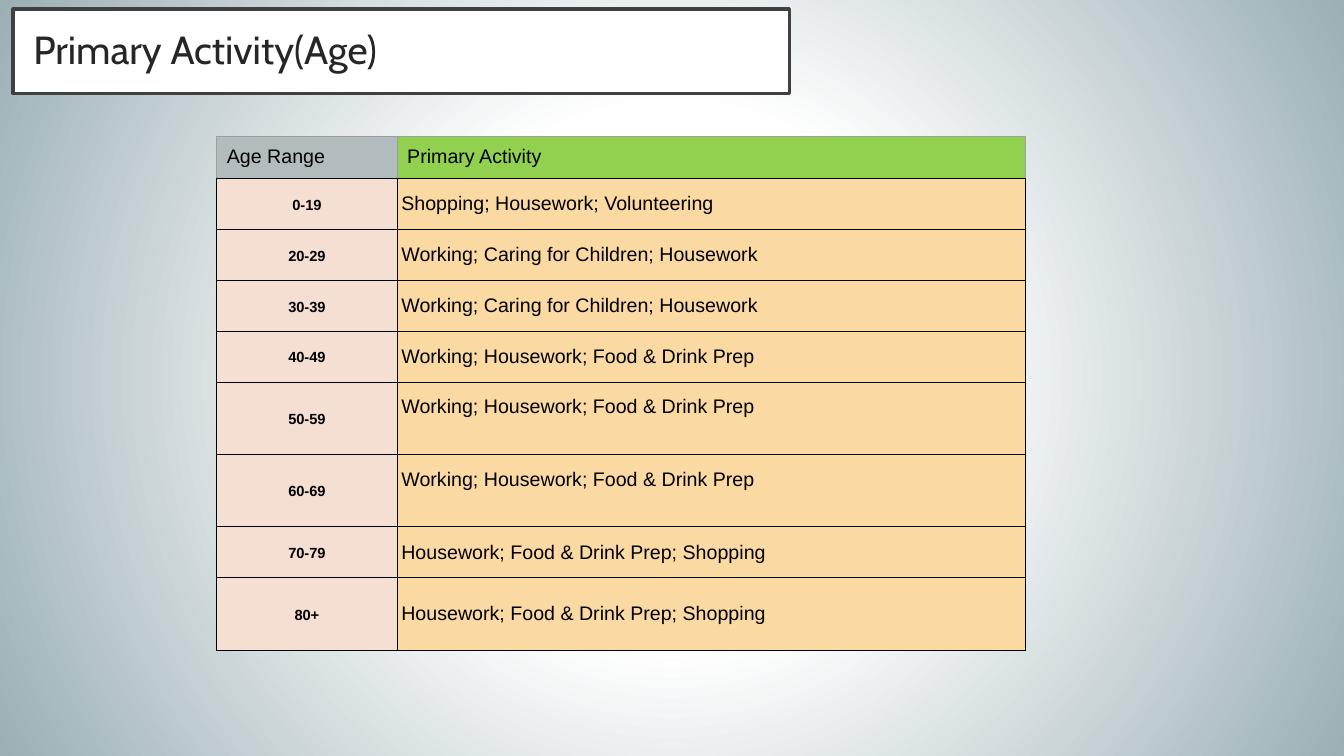
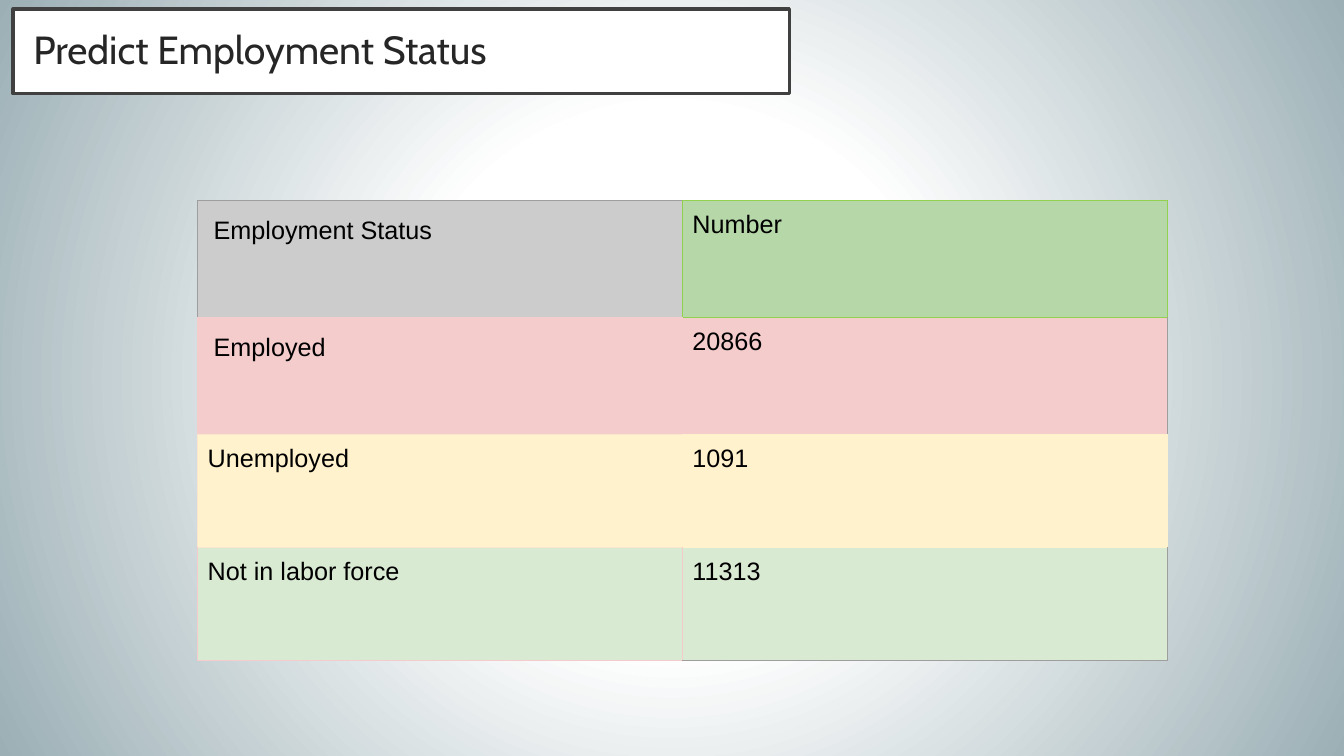
from lxml import etree
from pptx import Presentation
from pptx.dml.color import RGBColor
from pptx.enum import shapes, text
from pptx.oxml import ns
from pptx.util import Pt

# Shared palette
WHITE, BLACK, GRAY, GREEN = "FFFFFF", "000000", "9E9E9E", "92D050"
PINK, PEACH, CREAM, MINT = "F4CCCC", "FCE5CD", "FFF2CC", "D9EAD3"
BACKGROUND_STOPS = [(0, WHITE), (35, WHITE), (100, "9BAFB5")]


def color(value):
    return RGBColor.from_string(value)


def add_node(parent, tag, **attributes):
    node = etree.SubElement(parent, ns.qn(tag))
    for name, value in attributes.items():
        node.set(name, str(value))
    return node


class Deck:
    """Holds the style and the current slide."""

    BODY_FONT, TITLE_FONT = "Arial", "Cabin"

    def __init__(self):
        self.deck = Presentation()
        self.deck.slide_width, self.deck.slide_height = Pt(960), Pt(540)
        self.page = None

    def add_page(self, title):
        self.page = self.deck.slides.add_slide(self.deck.slide_layouts[6])
        self.paint_background()
        self.add_title(title)

    def paint_background(self):
        self.page.background.fill.solid()
        properties = self.page.element.find(".//" + ns.qn("p:bgPr"))
        properties.remove(properties[0])
        gradient = add_node(properties, "a:gradFill", rotWithShape=1)
        properties.insert(0, gradient)
        stops = add_node(gradient, "a:gsLst")
        for percent, value in BACKGROUND_STOPS:
            stop = add_node(stops, "a:gs", pos=percent * 1000)
            add_node(stop, "a:srgbClr", val=value)
        circle = add_node(gradient, "a:path", path="circle")
        add_node(circle, "a:fillToRect", l=50000, t=50000, r=50000, b=50000)

    def add_title(self, words):
        box = self.page.shapes.add_shape(
            shapes.MSO_SHAPE.RECTANGLE, Pt(9.4), Pt(6.5), Pt(554.4), Pt(60.5))
        box.shadow.inherit = False
        box.fill.solid()
        box.fill.fore_color.rgb = color(WHITE)
        box.line.color.rgb = color("404040")
        box.line.width = Pt(2.5)
        frame = box.text_frame
        frame.word_wrap = True
        frame.vertical_anchor = text.MSO_ANCHOR.MIDDLE
        frame.margin_left = frame.margin_right = Pt(14.4)
        frame.margin_top = frame.margin_bottom = Pt(14.4)
        self.add_text(frame, words, 28, self.TITLE_FONT, "262626", spacing=0.9)

    def add_text(self, frame, words, size, font=BODY_FONT, ink=BLACK,
                 bold=False, spacing=1.0, align=text.PP_ALIGN.LEFT):
        para = frame.paragraphs[0]
        para.alignment, para.line_spacing = align, spacing
        span = para.add_run()
        span.text = words
        span.font.name, span.font.size, span.font.bold = font, Pt(size), bold
        span.font.color.rgb = color(ink)

    def add_table(self, left, top, widths, heights):
        table = self.page.shapes.add_table(
            len(heights), len(widths), Pt(left), Pt(top),
            Pt(sum(widths)), Pt(sum(heights))).table
        table.first_row = table.horz_banding = False
        for column, width in zip(table.columns, widths):
            column.width = Pt(width)
        for row, height in zip(table.rows, heights):
            row.height = Pt(height)
        return table

    def fill_cell(self, cell, words, size, fill, borders, inset=7.2, indent=0,
                  lift=0, anchor=text.MSO_ANCHOR.TOP, **style):
        """Borders run left, right, top, bottom."""
        cell.vertical_anchor = anchor
        cell.margin_left = Pt(inset + indent)
        cell.margin_right = cell.margin_top = Pt(inset)
        cell.margin_bottom = Pt(inset + lift)
        properties = cell._tc.get_or_add_tcPr()
        for side, value in zip("LRTB", borders):
            edge = add_node(properties, "a:ln" + side, w=Pt(0.75))
            solid = add_node(edge, "a:solidFill")
            add_node(solid, "a:srgbClr", val=value)
        cell.fill.solid()
        cell.fill.fore_color.rgb = color(fill)
        self.add_text(cell.text_frame, words, size, **style)


def add_activity_page(deck):
    deck.add_page("Primary Activity(Age)")
    working = "Working; Housework; Food & Drink Prep"
    caring = "Working; Caring for Children; Housework"
    housework = "Housework; Food & Drink Prep; Shopping"
    low, high = 36.4, 51.7
    # Age range, activity, row height, lift of the activity text
    rows = [
        ("0-19", "Shopping; Housework; Volunteering", low, 0),
        ("20-29", caring, low, 0),
        ("30-39", caring, low, 0),
        ("40-49", working, low, 0),
        ("50-59", working, high, 16),
        ("60-69", working, high, 16),
        ("70-79", housework, low, 0),
        ("80+", housework, high, 0),
    ]
    table = deck.add_table(154.8, 97.2, [128.9, 448.6],
                           [30] + [row[2] for row in rows])

    # Header
    headers = [("Age Range", "B2BBBE"), ("Primary Activity", GREEN)]
    for column, (words, fill) in enumerate(headers):
        deck.fill_cell(table.cell(0, column), words, 14, fill,
                       [GRAY, GRAY, GRAY, BLACK])

    # Body
    body = dict(borders=[BLACK] * 4, inset=3, anchor=text.MSO_ANCHOR.MIDDLE)
    for index, (ages, activity, _, lift) in enumerate(rows, 1):
        deck.fill_cell(table.cell(index, 0), ages, 10.5, "F5DFD3", bold=True,
                       spacing=1.15, align=text.PP_ALIGN.CENTER, **body)
        deck.fill_cell(table.cell(index, 1), activity, 14, "FBD9A3",
                       lift=lift, **body)


def add_employment_page(deck):
    deck.add_page("Predict Employment Status")
    table = deck.add_table(141.1, 143.3, [346.3] * 2, [83.5, 83.5, 80.6, 80.6])
    # Words, fill and borders of both cells in each row
    rows = [
        [("Employment Status", "CCCCCC", [GRAY, GREEN, GRAY, PINK]),
         ("Number", "B6D7A8", [GREEN] * 4)],
        [("Employed", PINK, [PINK, PINK, PINK, PEACH]),
         ("20866", PINK, [PINK, GRAY, GREEN, CREAM])],
        [("Unemployed", CREAM, [PEACH, CREAM, PEACH, PEACH]),
         ("1091", CREAM, [CREAM] * 4)],
        [("Not in labor force", MINT, [PINK, PINK, PEACH, PINK]),
         ("11313", MINT, [PINK, GRAY, CREAM, GRAY])],
    ]
    indented = dict(indent=4.3, spacing=1.21)
    for index, row in enumerate(rows):
        for column, (words, fill, borders) in enumerate(row):
            style = indented if column == 0 and index < 2 else {}
            deck.fill_cell(table.cell(index, column), words, 18, fill,
                           borders, **style)


def main():
    deck = Deck()
    add_activity_page(deck)
    add_employment_page(deck)
    deck.deck.save("out.pptx")


if __name__ == "__main__":
    main()
